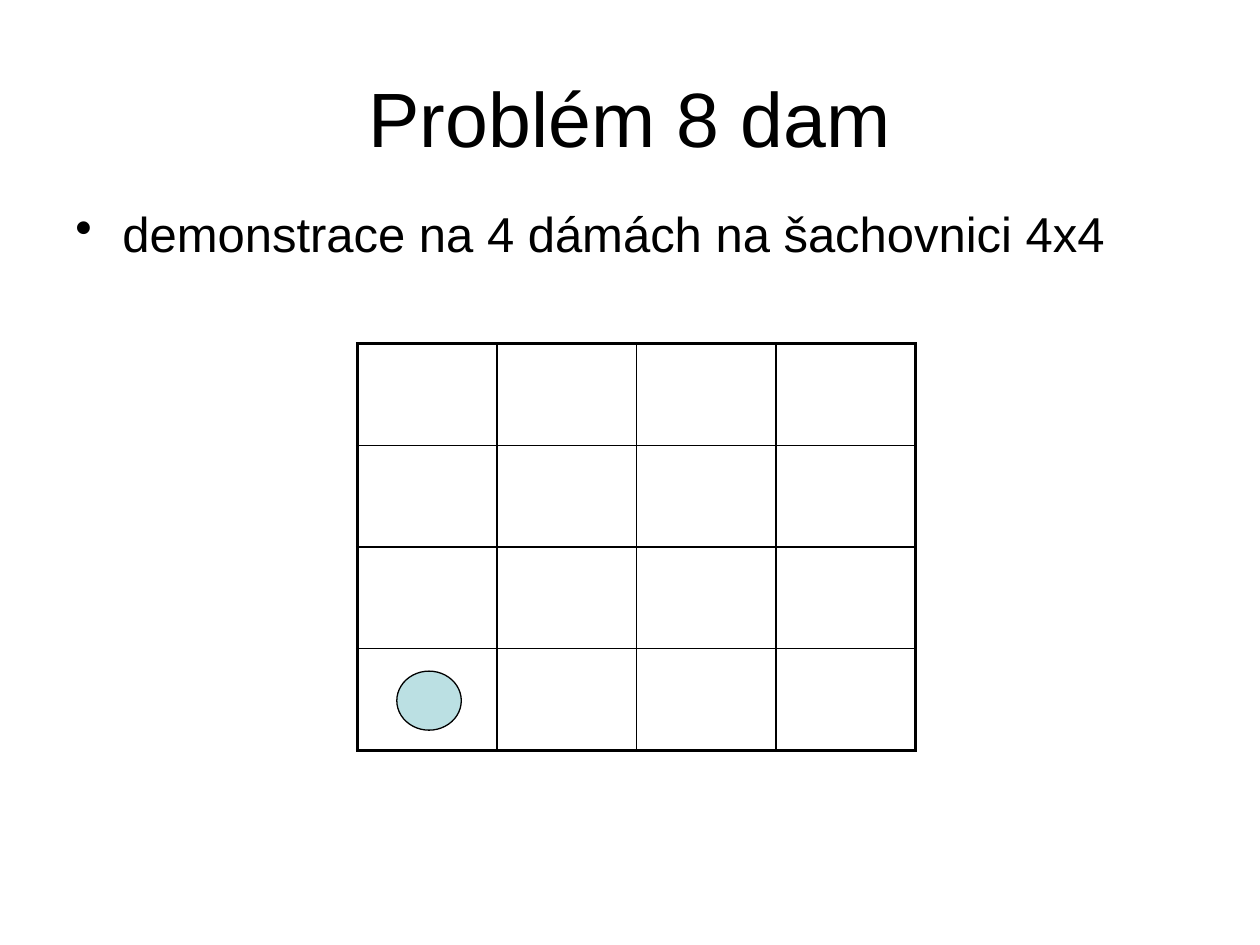
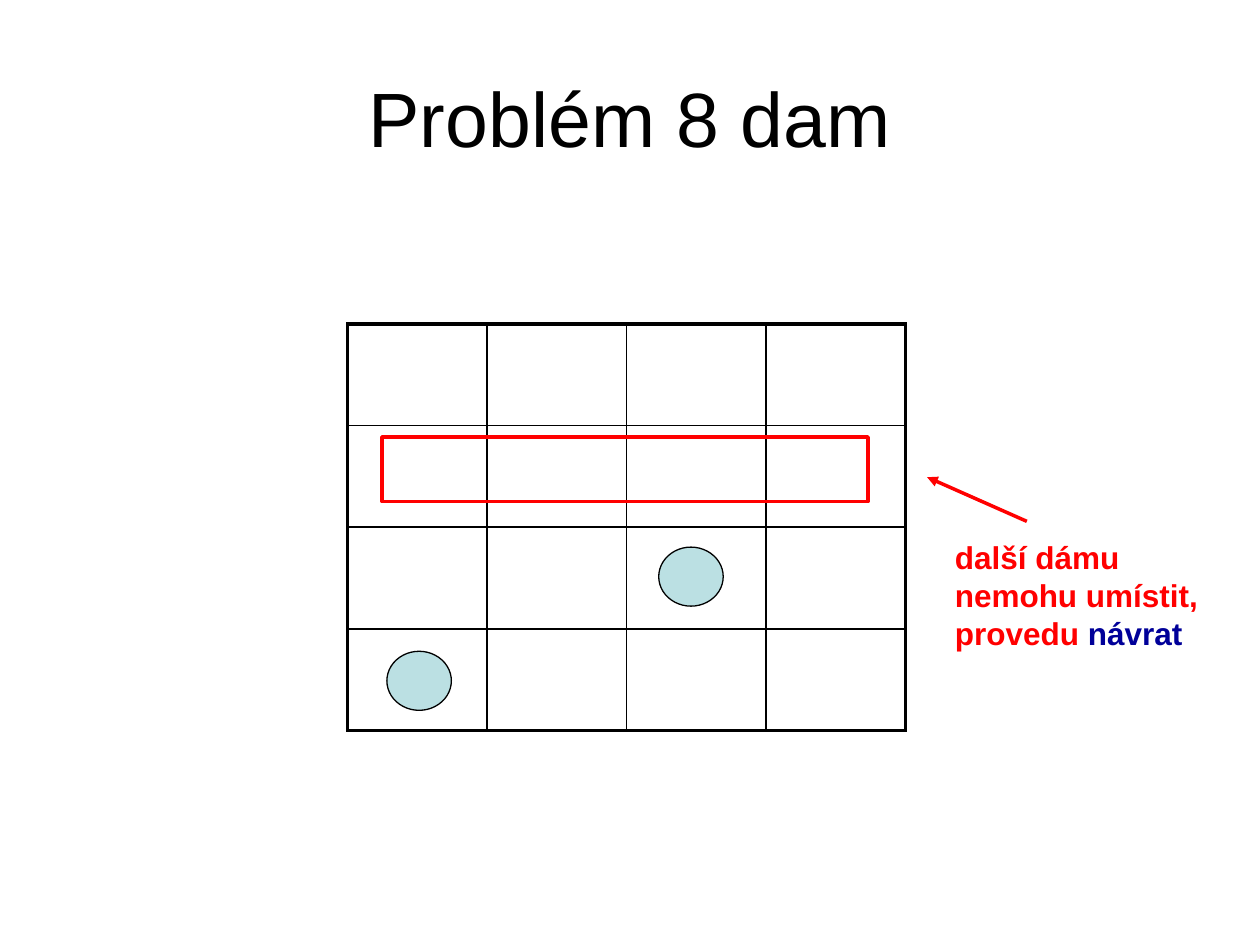
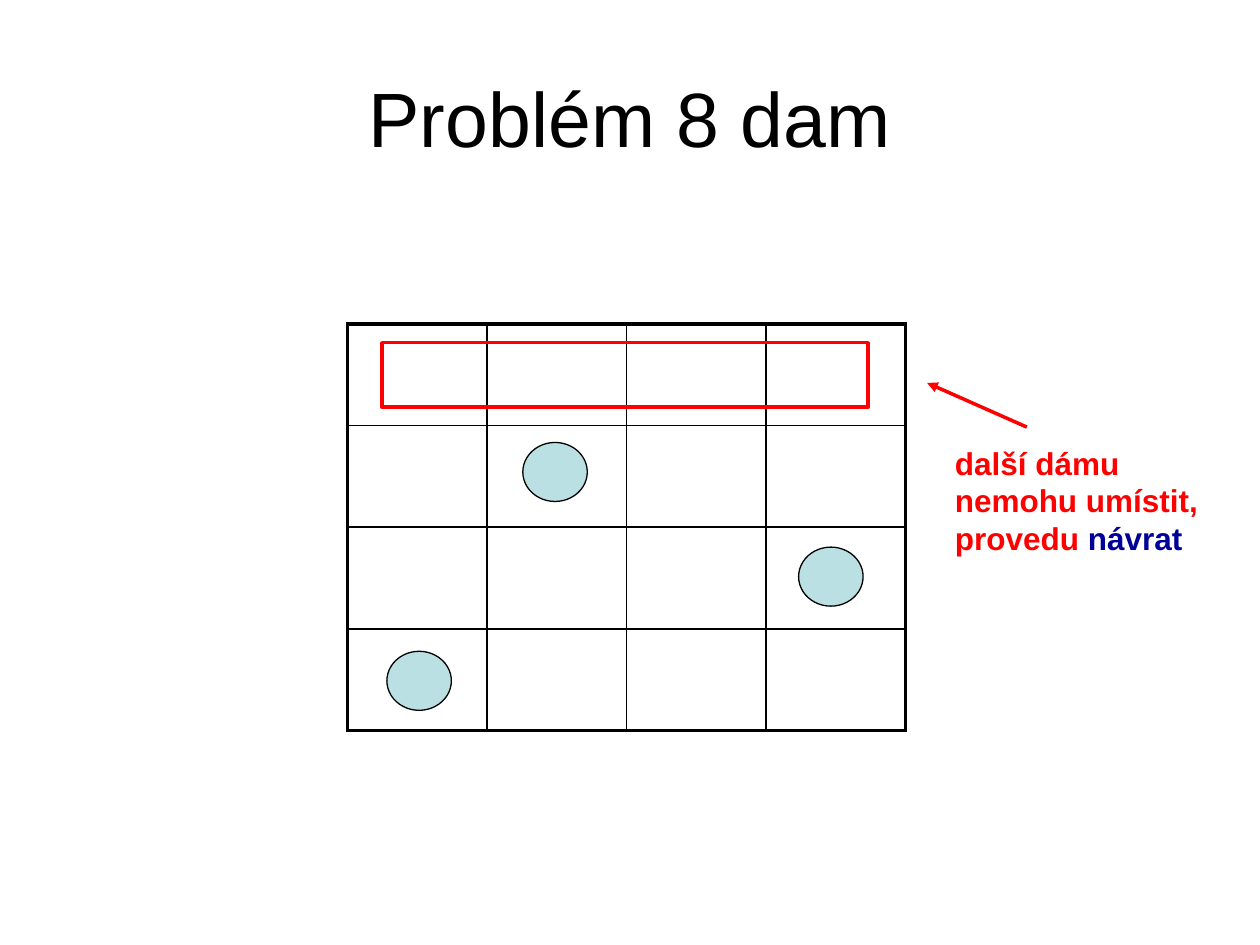
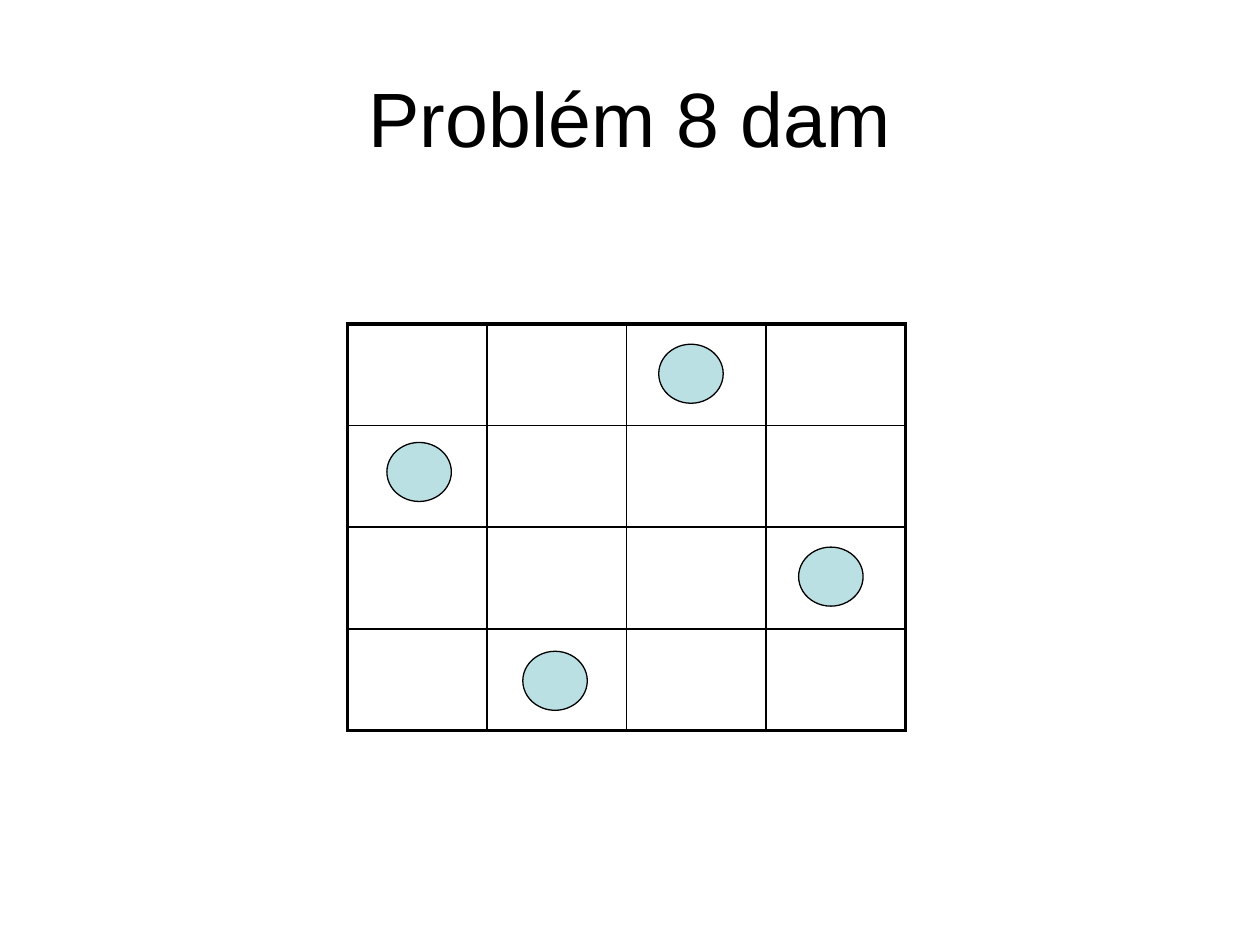
from dataclasses import dataclass

from lxml import etree
from pptx import Presentation
from pptx.dml.color import RGBColor
from pptx.enum.shapes import MSO_CONNECTOR, MSO_SHAPE
from pptx.enum.text import MSO_ANCHOR, PP_ALIGN
from pptx.oxml.ns import qn
from pptx.util import Cm, Pt

LEFT, CENTER = PP_ALIGN.LEFT, PP_ALIGN.CENTER
TOP, MIDDLE = MSO_ANCHOR.TOP, MSO_ANCHOR.MIDDLE
OVAL, RECT = MSO_SHAPE.OVAL, MSO_SHAPE.RECTANGLE
STRAIGHT = MSO_CONNECTOR.STRAIGHT


@dataclass(frozen=True)
class Theme:
    font: str = "Arial"
    ink: str = "000000"
    queen: str = "BBE0E3"
    alert: str = "FF0000"
    accent: str = "000099"
    title: int = 44
    body: int = 28
    note: int = 18
    frame: float = 2.25
    grid: float = 1
    thin: float = 0.75
    bold: float = 2


SIZE = 4
CELL_W, CELL_H = 2.81, 2.05
QUEEN_W, QUEEN_H = 1.3, 1.19
# Queen offsets from the corner of the board, by column and by row
COLS = (0.79, 3.53, 6.27, 9.09)
ROWS = (0.41, 2.39, 4.5, 6.6)
HOME = (7.01, 6.53)


def color(code):
    return RGBColor.from_string(code)


class Deck:
    def __init__(self, theme):
        self.theme = theme
        self.prs = Presentation()
        self.prs.slide_width, self.prs.slide_height = Cm(25.4), Cm(19.05)
        self.shapes = None

    def slide(self, title):
        self.shapes = self.prs.slides.add_slide(self.prs.slide_layouts[6]).shapes
        self.text([(title, self.theme.ink)], (1.27, 0.76, 22.86, 3.18),
                  size=self.theme.title, align=CENTER, anchor=MIDDLE)

    def text(self, runs, box, size, bold=False, align=LEFT, anchor=TOP):
        """Write (words, colour) runs as one paragraph and return it."""
        frame = self.shapes.add_textbox(*map(Cm, box)).text_frame
        frame.word_wrap = True
        frame.vertical_anchor = anchor
        para = frame.paragraphs[0]
        para.alignment = align
        for words, tint in runs:
            run = para.add_run()
            run.text = words
            font = run.font
            font.name, font.size, font.bold = self.theme.font, Pt(size), bold
            font.color.rgb = color(tint)
        return para

    def bullet(self, words, box):
        para = self.text([(words, self.theme.ink)], box, size=self.theme.body)
        para.line_spacing = 0.9
        props = para._p.get_or_add_pPr()
        props.set("marL", str(Cm(0.95)))
        props.set("indent", str(Cm(-0.95)))
        etree.SubElement(props, qn("a:buChar"), char="•")

    def shape(self, kind, box, line, width, fill=None):
        item = self.shapes.add_shape(kind, *map(Cm, box))
        item.shadow.inherit = False
        item.line.color.rgb = color(line)
        item.line.width = Pt(width)
        if fill:
            item.fill.solid()
            item.fill.fore_color.rgb = color(fill)
        else:
            item.fill.background()

    def arrow(self, start, end):
        item = self.shapes.add_connector(STRAIGHT, *map(Cm, start + end))
        item.line.color.rgb = color(self.theme.alert)
        item.line.width = Pt(self.theme.bold)
        etree.SubElement(item.line._ln, qn("a:tailEnd"), type="triangle")
        etree.SubElement(item._element.spPr, qn("a:effectLst"))

    def edge(self, cell, side, width):
        line = etree.SubElement(cell._tc.get_or_add_tcPr(), qn(f"a:ln{side}"),
                                w=str(Pt(width)))
        fill = etree.SubElement(line, qn("a:solidFill"))
        etree.SubElement(fill, qn("a:srgbClr"), val=self.theme.ink)

    def board(self, queens, corner=HOME):
        """Draw the chessboard with queens at (column, row)."""
        left, top = corner
        box = (left, top, SIZE * CELL_W, SIZE * CELL_H)
        table = self.shapes.add_table(SIZE, SIZE, *map(Cm, box)).table
        table.first_row = table.horz_banding = False
        last = SIZE - 1
        for row in range(SIZE):
            for col in range(SIZE):
                cell = table.cell(row, col)
                outer = {"L": col == 0, "R": col == last,
                         "T": row == 0, "B": row == last}
                for side, rim in outer.items():
                    self.edge(cell, side, self.theme.frame if rim else self.theme.grid)
                cell.fill.background()
        for col, row in queens:
            self.shape(OVAL, (left + COLS[col], top + ROWS[row], QUEEN_W, QUEEN_H),
                       self.theme.ink, self.theme.thin, fill=self.theme.queen)

    def block(self, top):
        """Mark a row with no free square and explain the step back."""
        theme = self.theme
        self.shape(RECT, (7.7, top, 9.8, 1.3), theme.alert, theme.bold)
        self.text([("další dámu nemohu umístit, provedu ", theme.alert),
                   ("návrat", theme.accent)],
                  (19, top + 1.91, 5.41, 3.3), size=theme.note, bold=True)
        self.arrow((20.7, top + 1.7), (18.69, top + 0.81))


def main():
    deck = Deck(Theme())
    title = "Problém 8 dam"

    deck.slide(title)
    deck.bullet("demonstrace na 4 dámách na šachovnici 4x4", (1.27, 4.11, 22.53, 1.37))
    deck.board([(0, 3)], corner=(7.21, 6.93))

    deck.slide(title)
    deck.board([(0, 3), (2, 2)])
    deck.block(8.81)

    deck.slide(title)
    deck.board([(0, 3), (3, 2), (1, 1)])
    deck.block(6.91)

    deck.slide(title)
    deck.board([(1, 3), (3, 2), (0, 1), (2, 0)])

    deck.prs.save("out.pptx")


if __name__ == "__main__":
    main()
